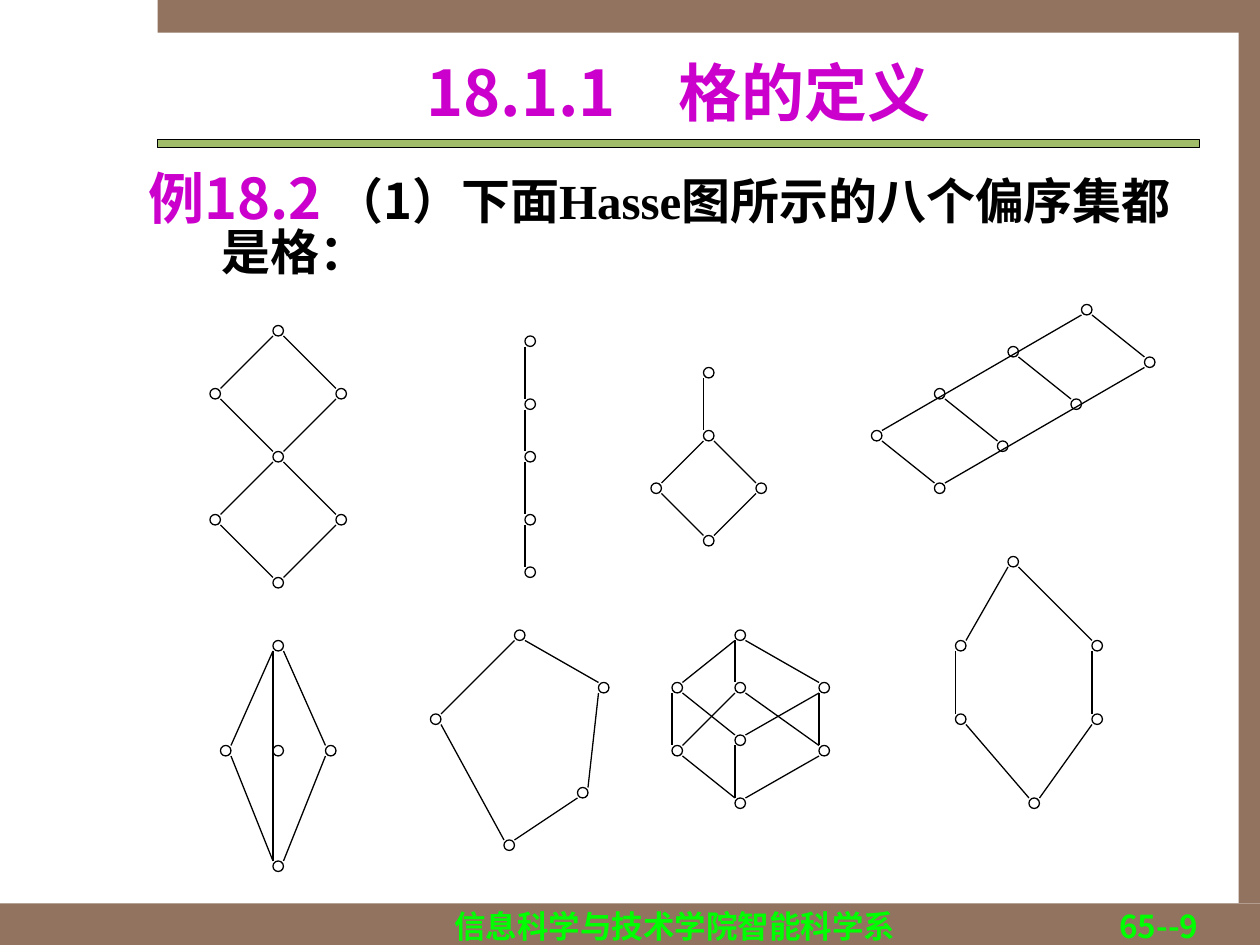
"""Build the slide that shows eight lattices as Hasse diagrams."""
import lxml.etree
import pptx
import pptx.dml.color
import pptx.enum.shapes
import pptx.enum.text
import pptx.oxml.ns
import pptx.util
from dataclasses import dataclass

Cm = pptx.util.Cm
ALIGN = pptx.enum.text.PP_ALIGN
SHAPE = pptx.enum.shapes.MSO_SHAPE


@dataclass
class Theme:
    frame: str = "91735F"
    rule: str = "A1BD69"
    ink: str = "000000"
    accent: str = "CC00CC"
    footer: str = "00FF00"
    sans: str = "Noto Sans CJK SC"
    serif: str = "Times New Roman"
    title_size: int = 36
    label_size: int = 32
    body_size: int = 28
    footer_size: int = 18
    line_width: float = 0.75


theme = Theme()
rgb = pptx.dml.color.RGBColor.from_string


def style_span(span, size, color, face=theme.sans):
    span.font.size = pptx.util.Pt(size)
    span.font.bold = True
    span.font.color.rgb = rgb(color)
    span.font.name = face
    east_asian = lxml.etree.SubElement(span.font._element, pptx.oxml.ns.qn("a:ea"))
    east_asian.set("typeface", theme.sans)


def draw_outline(shape):
    shape.line.color.rgb = rgb(theme.ink)
    shape.line.width = pptx.util.Pt(theme.line_width)


deck = pptx.Presentation()
deck.slide_width, deck.slide_height = Cm(25.4), Cm(19.05)
slide = deck.slides.add_slide(deck.slide_layouts[5])

bars = [
    (0, 18.21, 25.4, 0.84, theme.frame),
    (3.18, 0, 22.22, 0.66, theme.frame),
    (24.97, 0.64, 0.43, 17.57, theme.frame),
    (3.18, 2.82, 21, 0.16, theme.rule),
]
for left, top, width, height, color in bars:
    bar = slide.shapes.add_shape(SHAPE.RECTANGLE, Cm(left), Cm(top), Cm(width), Cm(height))
    bar.shadow.inherit = False
    bar.fill.solid()
    bar.fill.fore_color.rgb = rgb(color)
    if color == theme.rule:
        draw_outline(bar)
    else:
        bar.line.fill.background()

title = slide.shapes.title
title.left, title.top, title.width, title.height = Cm(3.18), Cm(0.84), Cm(21), Cm(2)
title.text_frame.text = "18.1.1　格的定义"
title.text_frame.auto_size = pptx.enum.text.MSO_AUTO_SIZE.NONE
title.text_frame.vertical_anchor = pptx.enum.text.MSO_ANCHOR.MIDDLE
para = title.text_frame.paragraphs[0]
para.alignment = ALIGN.CENTER
style_span(para.runs[0], theme.title_size, theme.accent)

footers = [
    (8.1, 11, "信息科学与技术学院智能科学系", ALIGN.CENTER),
    (19.13, 5.28, "65--9", ALIGN.RIGHT),
]
for left, width, text, alignment in footers:
    box = slide.shapes.add_textbox(Cm(left), Cm(18.16), Cm(width), Cm(0.46))
    box.text_frame.word_wrap = True
    box.text_frame.text = text
    para = box.text_frame.paragraphs[0]
    para.alignment = alignment
    style_span(para.runs[0], theme.footer_size, theme.footer)

body = slide.shapes.add_textbox(Cm(2.74), Cm(3.38), Cm(21.59), Cm(2.79))
body.text_frame.word_wrap = True
para = body.text_frame.paragraphs[0]
para.line_spacing = 0.85
properties = para._p.get_or_add_pPr()
properties.set("marL", str(Cm(1.48)))
properties.set("indent", str(-Cm(1.48)))
body_spans = [
    ("例18.2 ", theme.label_size, theme.accent, theme.sans),
    ("（1）下面", theme.body_size, theme.ink, theme.sans),
    ("Hasse", theme.body_size, theme.ink, theme.serif),
    ("图所示的八个偏序集都是格：", theme.body_size, theme.ink, theme.sans),
]
for text, size, color, face in body_spans:
    span = para.add_run()
    span.text = text
    style_span(span, size, color, face)

unit = 2.54 / 12
diamond_rows = [(26, row) for row in (31, 43, 55)]
diamond_sides = [(column, row) for row in (37, 49) for column in (20, 32)]
chain = [(50, row) for row in (32, 38, 43, 49, 54)]
atoms = [(column, 71) for column in (21, 26, 31)]
ladder_top = [(103, 29), (96, 33), (89, 37), (83, 41)]
ladder_bottom = [(109, 34), (102, 38), (95, 42), (89, 46)]
hexagon_sides = [(column, row) for row in (61, 68) for column in (91, 104)]
lattices = [
    (diamond_rows + diamond_sides, "ad ae db eb bf bg fc gc"),
    (chain, "ab bc cd de"),
    ([(67, 35), (67, 41), (62, 46), (72, 46), (67, 51)], "ab bc bd ce de"),
    (ladder_top + ladder_bottom, "ad eh ae bf cg dh"),
    ([(26, 61), *atoms, (26, 82)], "ab ad ae be de"),
    ([(49, 60), (57, 65), (41, 68), (55, 75), (48, 80)], "ab ac bd ce de"),
    ([(70, 60), (64, 65), (70, 65), (78, 65), (70, 70), (64, 71), (78, 71), (70, 76)],
     "ab ac ad bf be cf cg de dg fh gh eh"),
    ([(96, 53), *hexagon_sides, (98, 76)], "ab ac bd ce df ef"),
]
for nodes, edges in lattices:
    group = slide.shapes.add_group_shape()
    named = dict(zip("abcdefgh", nodes))
    for upper, lower in edges.split():
        (start_x, start_y), (end_x, end_y) = named[upper], named[lower]
        ends = (start_x + (end_x > start_x), start_y + 1, end_x + (end_x < start_x), end_y)
        edge = group.shapes.add_connector(
            pptx.enum.shapes.MSO_CONNECTOR.STRAIGHT, *(Cm(unit * end) for end in ends))
        draw_outline(edge)
        lxml.etree.SubElement(edge._element.spPr, pptx.oxml.ns.qn("a:effectLst"))
    for column, row in nodes:
        node = group.shapes.add_shape(
            SHAPE.OVAL, Cm(unit * column), Cm(unit * row), Cm(unit), Cm(unit))
        node.shadow.inherit = False
        node.fill.background()
        draw_outline(node)

deck.save("out.pptx")
